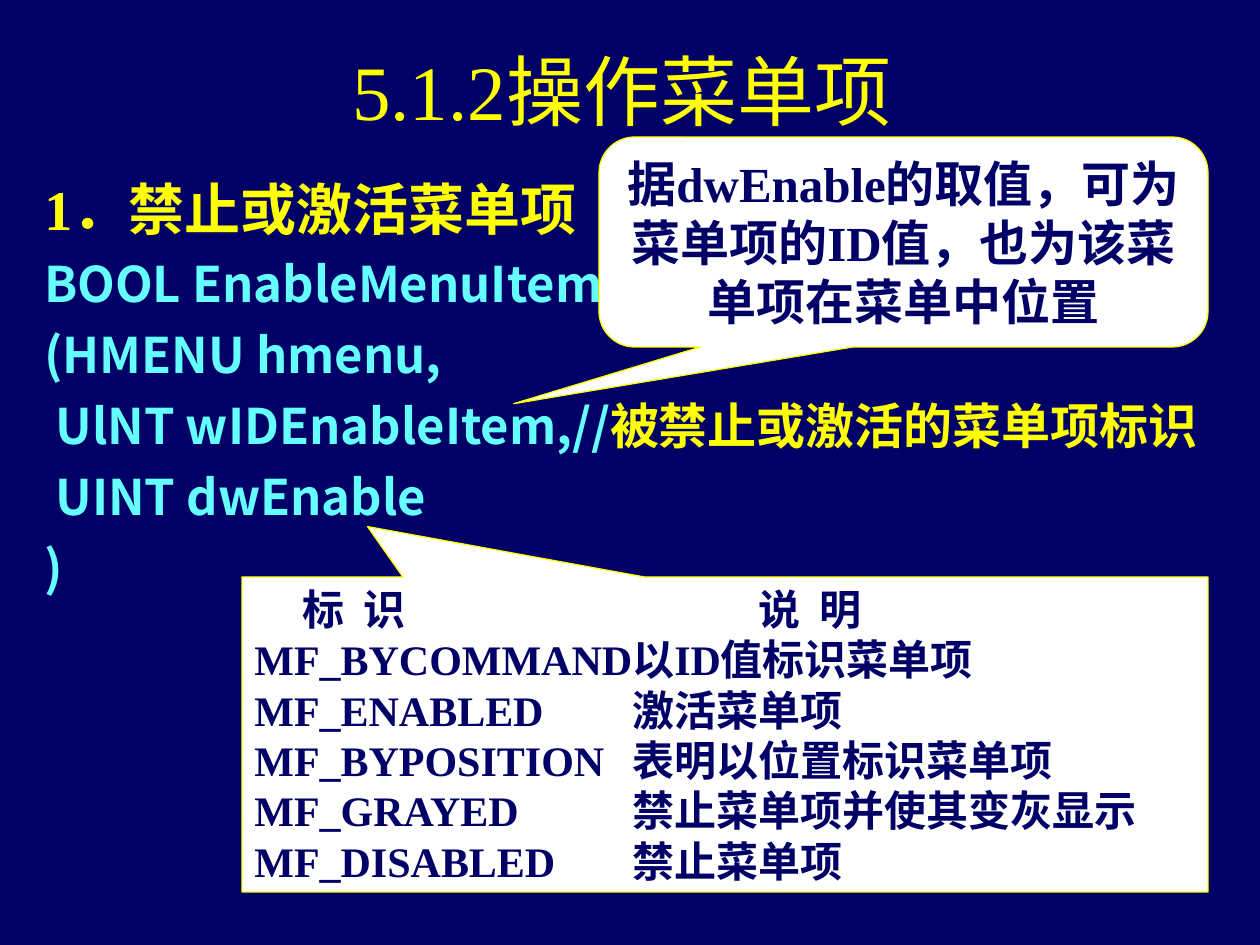
from dataclasses import dataclass

from pptx import Presentation
from pptx.dml import color
from pptx.enum import shapes, text
from pptx.oxml import ns, xmlchemy
from pptx.util import Emu, Pt

PX = 914400 / 126
SERIF, SANS = "Times New Roman", "Noto Sans CJK SC"
NAVY, YELLOW, CYAN, WHITE = "000066", "FFFF00", "66FFFF", "FFFFFF"


@dataclass(frozen=True)
class Span:
    """A stretch of text with its own font and colour."""

    words: str
    font: str
    colour: str


@dataclass(frozen=True)
class Callout:
    """A white speech box with its pointer and text."""

    kind: shapes.MSO_SHAPE
    bounds: tuple[int, int, int, int]
    adjustments: tuple[float, ...]
    size: int
    pitch: float
    align: text.PP_ALIGN
    lines: tuple[str, ...]
    stops: tuple[tuple[int, ...], ...]


LEFT, CENTER, JUSTIFY = text.PP_ALIGN.LEFT, text.PP_ALIGN.CENTER, text.PP_ALIGN.JUSTIFY

HEADING = [Span("1", SERIF, YELLOW), Span("．禁止或激活菜单项", SANS, YELLOW)]
CODE = [
    [Span("BOOL EnableMenuItem", SANS, CYAN)],
    [Span("(HMENU hmenu,", SANS, CYAN)],
    [Span(" UlNT wIDEnableItem,//", SANS, CYAN),
     Span("被禁止或激活的菜单项标识", SERIF, YELLOW)],
    [Span(" UINT dwEnable", SANS, CYAN)],
    [Span(")", SANS, CYAN)],
]
FLAGS = (
    "\t标  识\t说  明",
    "MF_BYCOMMAND以ID值标识菜单项",
    "MF_ENABLED\t激活菜单项",
    "MF_BYPOSITION\t表明以位置标识菜单项",
    "MF_GRAYED\t禁止菜单项并使其变灰显示",
    "MF_DISABLED\t禁止菜单项",
)
CALLOUTS = [
    Callout(shapes.MSO_SHAPE.ROUNDED_RECTANGULAR_CALLOUT, (599, 137, 609, 210),
            (-0.64, 0.77, 0.17), 28, 33.5, CENTER,
            ("据dwEnable的取值，可为菜单项的ID值，也为该菜单项在菜单中位置",), ((),)),
    Callout(shapes.MSO_SHAPE.RECTANGULAR_CALLOUT, (242, 577, 966, 315),
            (-0.37, -0.66), 24, 28.8, LEFT, FLAGS,
            ((48, 504),) + ((378,),) * (len(FLAGS) - 1)),
]


def px(length: int) -> Emu:
    """Turn pixels into EMU."""
    return Emu(round(length * PX))


def rgb(value: str) -> color.RGBColor:
    """Turn a hex string into a colour."""
    return color.RGBColor.from_string(value)


def place(box, bounds: tuple[int, int, int, int]) -> None:
    """Move and size a box."""
    box.left, box.top, box.width, box.height = map(px, bounds)


def write(para, spans: list[Span], *, size: int, bold: bool = False,
          align=LEFT, pitch: float | None = None, before: int = 0,
          hanging: int = 0, stops: tuple[int, ...] = ()) -> None:
    """Fill a paragraph with formatted spans."""
    para.alignment = align
    para.space_before = Pt(before)
    if pitch:
        para.line_spacing = Pt(pitch)
    properties = para._p.get_or_add_pPr()
    if hanging:
        properties.set("marL", str(px(hanging)))
        properties.set("indent", str(-px(hanging)))
    if stops:
        tabs = xmlchemy.OxmlElement("a:tabLst")
        for stop in stops:
            tab = xmlchemy.OxmlElement("a:tab")
            tab.set("pos", str(px(stop)))
            tab.set("algn", "l")
            tabs.append(tab)
        properties.append(tabs)
    for span in spans:
        run = para.add_run()
        run.text = span.words
        run.font.name, run.font.size, run.font.bold = span.font, Pt(size), bold
        run.font.color.rgb = rgb(span.colour)
        latin = run._r.rPr.find(ns.qn("a:latin"))
        asian = xmlchemy.OxmlElement("a:ea")
        asian.set("typeface", SANS)
        latin.addnext(asian)


def next_para(frame, index: int):
    """Return the first paragraph or a new one."""
    return frame.add_paragraph() if index else frame.paragraphs[0]


def draw_title(page) -> None:
    """Format the title placeholder."""
    box = page.shapes.title
    place(box, (95, 32, 1071, 116))
    box.text_frame.vertical_anchor = text.MSO_ANCHOR.MIDDLE
    spans = [Span("5.1.2", SERIF, YELLOW), Span("操作菜单项 ", SANS, YELLOW)]
    write(box.text_frame.paragraphs[0], spans, size=44, align=CENTER)


def draw_code(page) -> None:
    """Draw the heading and the function signature."""
    box = page.shapes.add_textbox(*map(px, (32, 168, 1207, 451)))
    frame = box.text_frame
    frame.word_wrap = True
    write(frame.paragraphs[0], HEADING, size=32, bold=True, pitch=38.4,
          before=8, hanging=48)
    for spans in CODE:
        write(frame.add_paragraph(), spans, size=28, bold=True, align=JUSTIFY,
              pitch=33.6, before=7, hanging=48)


def draw_callout(page, callout: Callout) -> None:
    """Draw a callout with one paragraph a line."""
    box = page.shapes.add_shape(callout.kind, *map(px, callout.bounds))
    box.shadow.inherit = False
    box.fill.solid()
    box.fill.fore_color.rgb = rgb(WHITE)
    box.line.color.rgb = rgb(YELLOW)
    box.line.width = Pt(0.75)
    for index, value in enumerate(callout.adjustments):
        box.adjustments[index] = value
    frame = box.text_frame
    frame.word_wrap = True
    frame.vertical_anchor = text.MSO_ANCHOR.MIDDLE
    for index, (line, stops) in enumerate(zip(callout.lines, callout.stops)):
        write(next_para(frame, index), [Span(line, SERIF, NAVY)], size=callout.size,
              bold=True, align=callout.align, pitch=callout.pitch, stops=stops)


def main() -> None:
    """Build the deck."""
    deck = Presentation()
    deck.slide_width, deck.slide_height = px(1260), px(945)
    page = deck.slides.add_slide(deck.slide_layouts[5])
    page.background.fill.solid()
    page.background.fill.fore_color.rgb = rgb(NAVY)
    draw_title(page)
    draw_code(page)
    for callout in CALLOUTS:
        draw_callout(page, callout)
    deck.save("out.pptx")


if __name__ == "__main__":
    main()
